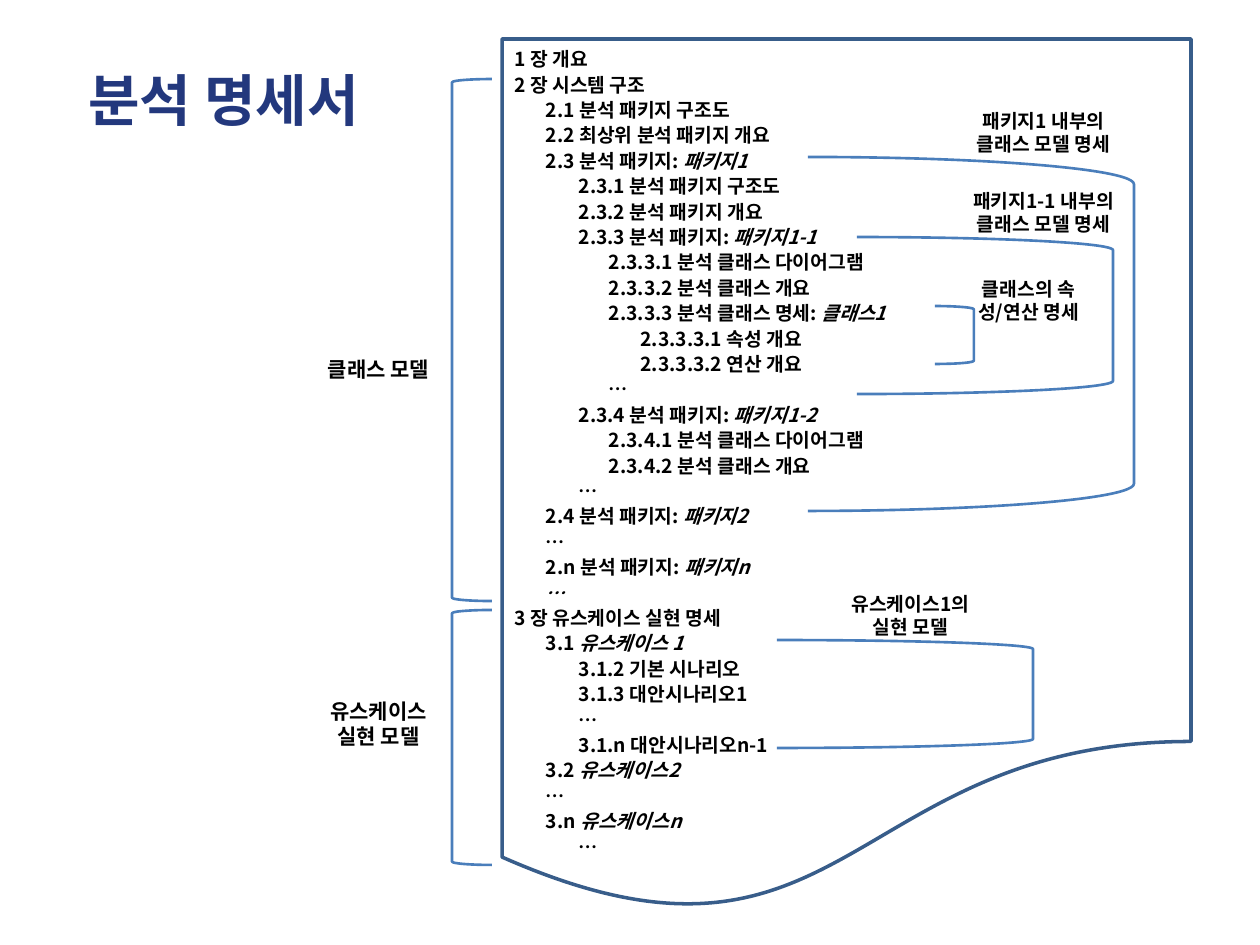
from dataclasses import dataclass

from lxml import etree
from pptx import Presentation
from pptx import util as u
from pptx.dml.color import RGBColor
from pptx.enum import shapes, text
from pptx.oxml.ns import qn

PX = 914400 / 126
FONT = "Noto Sans CJK KR"
NAVY = RGBColor(0x23, 0x38, 0x7D)
BLACK = RGBColor(0, 0, 0)
PAGE_LINE = RGBColor(0x38, 0x5D, 0x8A)
BRACKET_LINE = RGBColor(0x4A, 0x7E, 0xBB)
LEFT = shapes.MSO_SHAPE.LEFT_BRACKET
RIGHT = shapes.MSO_SHAPE.RIGHT_BRACKET
LINE_HEIGHT = 1.2
TAB_STOPS = (0.25, 0.51, 0.75, 1)


@dataclass(frozen=True)
class Box:
    """A rectangle in pixels."""
    x: int
    y: int
    w: int
    h: int

    def emu(self) -> tuple[int, ...]:
        """Return the rectangle in EMU."""
        return tuple(round(v * PX) for v in (self.x, self.y, self.w, self.h))


@dataclass(frozen=True)
class Entry:
    """One outline line: its level, upright text and italic text."""
    level: int
    upright: str
    italic: str = ""


@dataclass(frozen=True)
class Bracket:
    """A bracket and the label that names what it spans."""
    kind: shapes.MSO_SHAPE
    box: Box
    label: Box
    lines: tuple[str, ...]
    size: int = 11


OUTLINE = (
    Entry(0, "1 장 개요"),
    Entry(0, "2 장 시스템 구조"),
    Entry(1, "2.1 분석 패키지 구조도"),
    Entry(1, "2.2 최상위 분석 패키지 개요"),
    Entry(1, "2.3 분석 패키지: ", "패키지1"),
    Entry(2, "2.3.1 분석 패키지 구조도"),
    Entry(2, "2.3.2 분석 패키지 개요"),
    Entry(2, "2.3.3 분석 패키지: ", "패키지1-1"),
    Entry(3, "2.3.3.1 분석 클래스 다이어그램"),
    Entry(3, "2.3.3.2 분석 클래스 개요"),
    Entry(3, "2.3.3.3 분석 클래스 명세: ", "클래스1"),
    Entry(4, "2.3.3.3.1 속성 개요"),
    Entry(4, "2.3.3.3.2 연산 개요"),
    Entry(3, "…"),
    Entry(2, "2.3.4 분석 패키지: ", "패키지1-2"),
    Entry(3, "2.3.4.1 분석 클래스 다이어그램"),
    Entry(3, "2.3.4.2 분석 클래스 개요"),
    Entry(2, "…"),
    Entry(1, "2.4 분석 패키지: ", "패키지2"),
    Entry(1, "…"),
    Entry(1, "2.n 분석 패키지: ", "패키지n"),
    Entry(1, "", "…"),
    Entry(0, "3 장 유스케이스 실현 명세"),
    Entry(1, "3.1 ", "유스케이스 1"),
    Entry(2, "3.1.2 기본 시나리오"),
    Entry(2, "3.1.3 대안시나리오1"),
    Entry(2, "…"),
    Entry(2, "3.1.n 대안시나리오n-1"),
    Entry(1, "3.2 ", "유스케이스2"),
    Entry(1, "…"),
    Entry(1, "3.n ", "유스케이스n"),
    Entry(2, "…"),
)

BRACKETS = (
    Bracket(LEFT, Box(452, 79, 40, 522), Box(305, 335, 147, 69),
            ("클래스 모델",), 12),
    Bracket(LEFT, Box(452, 610, 40, 255), Box(305, 689, 147, 69),
            ("유스케이스", "실현 모델"), 12),
    Bracket(RIGHT, Box(935, 306, 39, 58), Box(955, 266, 147, 69),
            ("클래스의 속성/연산 명세",)),
    Bracket(RIGHT, Box(857, 237, 256, 157), Box(945, 178, 197, 69),
            ("패키지1-1 내부의", "클래스 모델 명세")),
    Bracket(RIGHT, Box(808, 157, 326, 354), Box(945, 98, 197, 69),
            ("패키지1 내부의", "클래스 모델 명세")),
    Bracket(RIGHT, Box(777, 640, 256, 108), Box(837, 581, 147, 69),
            ("유스케이스1의 실현 모델",)),
)


def style(p, size: int, color: RGBColor, align, spacing: float = 1) -> None:
    """Set the font, alignment and line pitch of a paragraph."""
    p.alignment = align
    p.line_spacing = u.Pt(round(size * LINE_HEIGHT * spacing, 1))
    f = p.font
    f.name, f.size, f.bold = FONT, u.Pt(size), True
    f.color.rgb = color
    props = p._p.pPr.find(qn("a:defRPr"))
    etree.SubElement(props, qn("a:ea"), typeface=FONT)


def add_tabs(p) -> None:
    """Give an outline paragraph its tab stops."""
    tabs = etree.Element(qn("a:tabLst"))
    for pos in TAB_STOPS:
        etree.SubElement(tabs, qn("a:tab"), pos=str(u.Inches(pos)), algn="l")
    p._p.pPr.find(qn("a:defRPr")).addprevious(tabs)


def add_outlined(s, kind, box: Box, color: RGBColor, width: float):
    """Add an unfilled preset shape with a plain line."""
    sp = s.shapes.add_shape(kind, *box.emu())
    sp.shadow.inherit = False
    sp.fill.background()
    sp.line.color.rgb = color
    sp.line.width = u.Pt(width)
    return sp


def add_text(s, box: Box, lines: tuple[str, ...], size: int,
             color: RGBColor, align) -> None:
    """Add a vertically centred text box."""
    tf = s.shapes.add_textbox(*box.emu()).text_frame
    tf.word_wrap = True
    tf.vertical_anchor = text.MSO_ANCHOR.MIDDLE
    for i, line in enumerate(lines):
        p = tf.add_paragraph() if i else tf.paragraphs[0]
        p.add_run().text = line
        style(p, size, color, align)


def add_page(s) -> None:
    """Add the document shape with the outline inside."""
    sp = add_outlined(s, shapes.MSO_SHAPE.FLOWCHART_DOCUMENT,
                      Box(502, 39, 689, 876), PAGE_LINE, 2)
    tf = sp.text_frame
    tf.word_wrap = True
    tf.vertical_anchor = text.MSO_ANCHOR.TOP
    for i, entry in enumerate(OUTLINE):
        p = tf.add_paragraph() if i else tf.paragraphs[0]
        p.add_run().text = "\t" * entry.level + entry.upright
        if entry.italic:
            r = p.add_run()
            r.text = entry.italic
            r.font.italic = True
        style(p, 11, BLACK, text.PP_ALIGN.LEFT, 1.1)
        add_tabs(p)


def main() -> None:
    """Build and save the slide."""
    prs = Presentation()
    prs.slide_width, prs.slide_height = u.Inches(10), u.Inches(7.5)
    s = prs.slides.add_slide(prs.slide_layouts[6])
    add_text(s, Box(76, 44, 1110, 111), ("분석 명세서",), 32, NAVY,
             text.PP_ALIGN.LEFT)
    add_page(s)
    for b in BRACKETS:
        add_outlined(s, b.kind, b.box, BRACKET_LINE, 1.5)
        add_text(s, b.label, b.lines, b.size, BLACK, text.PP_ALIGN.CENTER)
    prs.save("out.pptx")


main()
